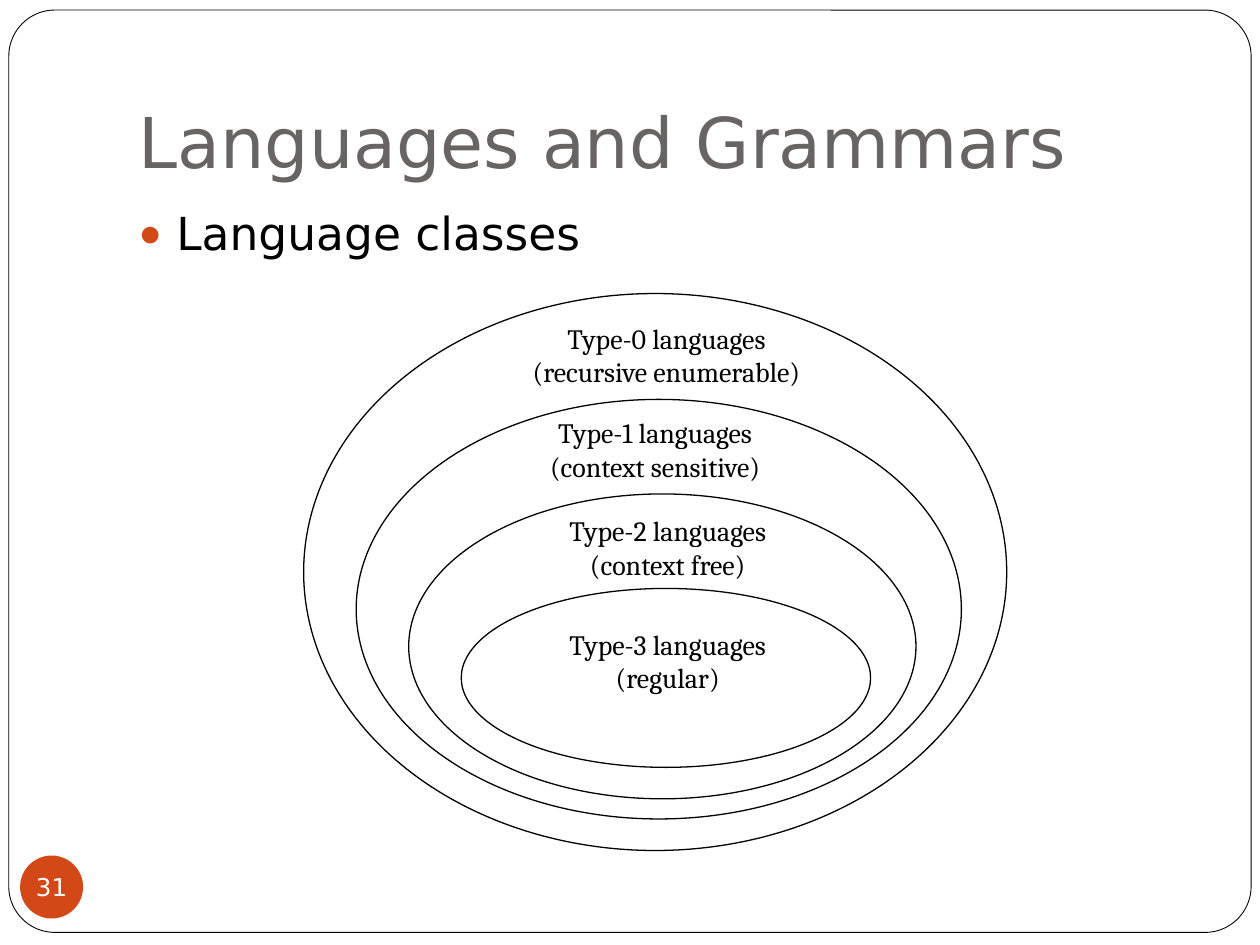
from lxml.etree import SubElement
from pptx import Presentation
from pptx.dml.color import RGBColor
from pptx.enum.shapes import MSO_SHAPE
from pptx.enum.text import MSO_ANCHOR, PP_ALIGN
from pptx.oxml.ns import qn
from pptx.util import Inches, Pt

BLACK = RGBColor(0, 0, 0)
WHITE = RGBColor(255, 255, 255)
GRAY = RGBColor(0x69, 0x64, 0x64)
RED = RGBColor(0xD3, 0x48, 0x17)
SANS, SERIF = "DejaVu Sans", "Cambria"

TITLE = "Languages and Grammars"
POINT = "Language classes"
PAGE = "31"
RINGS = [
    (2.33, 4.42, 5.29, 2.5, ["Type-0 languages", "(recursive enumerable)"]),
    (3.17, 3.33, 5.2, 3.25, ["Type-1 languages", "(context sensitive)"]),
    (3.92, 2.42, 5.3, 4.03, ["Type-2 languages", "(context free)"]),
    (4.67, 1.42, 5.3, 4.93, ["Type-3 languages", "(regular)"]),
]
LEFT, WIDE = 2.41, 5.58
STEP, LESS = 0.417, 0.777
LABEL = 3.08


def box(*lens):
    return [Inches(n) for n in lens]


def place(shape, *lens):
    shape.left, shape.top, shape.width, shape.height = box(*lens)


def write(shape, lines, size, font, color, align=PP_ALIGN.CENTER,
          anchor=MSO_ANCHOR.TOP, inset=(0.1, 0.05, 0.1, 0.05), wrap=True):
    frame = shape.text_frame
    frame.word_wrap = wrap
    frame.vertical_anchor = anchor
    (frame.margin_left, frame.margin_top,
     frame.margin_right, frame.margin_bottom) = box(*inset)
    for i, line in enumerate(lines):
        para = frame.add_paragraph() if i else frame.paragraphs[0]
        para.alignment = align
        run = para.add_run()
        run.text = line
        run.font.size = Pt(size)
        run.font.name = font
        run.font.color.rgb = color
    return frame


def draw(slide, kind, lens, fill=None, line=None):
    shape = slide.shapes.add_shape(kind, *box(*lens))
    shape.shadow.inherit = False
    if fill is None:
        shape.fill.background()
    else:
        shape.fill.solid()
        shape.fill.fore_color.rgb = fill
    if line is None:
        shape.line.fill.background()
    else:
        shape.line.color.rgb = BLACK
        shape.line.width = Pt(line)
    return shape


def bullet(para):
    para.space_before = Pt(5.8)
    props = para._p.get_or_add_pPr()
    props.set("marL", str(Inches(0.3)))
    props.set("indent", str(-Inches(0.3)))
    tint = SubElement(props, qn("a:buClr"))
    SubElement(tint, qn("a:srgbClr")).set("val", str(RED))
    SubElement(props, qn("a:buSzPct")).set("val", "85000")
    SubElement(props, qn("a:buChar")).set("char", "●")


def main():
    deck = Presentation()
    deck.slide_width, deck.slide_height = box(10, 7.5)
    slide = deck.slides.add_slide(deck.slide_layouts[1])

    edge = draw(slide, MSO_SHAPE.ROUNDED_RECTANGLE,
                (0.07, 0.08, 9.86, 7.32), WHITE, 0.5)
    edge.adjustments[0] = 0.05
    slide.shapes._spTree.insert(2, edge._element)

    title, body = slide.placeholders
    place(title, 1, 0.3, 8.5, 1.25)
    write(title, [TITLE], 40, SANS, GRAY, PP_ALIGN.LEFT,
          MSO_ANCHOR.BOTTOM, (0.1, 0.05, 0.1, 0.1))
    place(body, 1, 1.58, 8.5, 5)
    text = write(body, [POINT], 26, SANS, BLACK, PP_ALIGN.LEFT)
    bullet(text.paragraphs[0])

    for i, (top, high, *rest) in enumerate(RINGS):
        draw(slide, MSO_SHAPE.OVAL,
             (LEFT + i * STEP, top, WIDE - i * LESS, high), line=0.75)
    for *rest, mid, top, lines in RINGS:
        label = slide.shapes.add_textbox(
            *box(mid - LABEL / 2, top, LABEL, 0.64))
        write(label, lines, 16, SERIF, BLACK)

    badge = draw(slide, MSO_SHAPE.OVAL, (0.16, 6.79, 0.5, 0.5), RED)
    write(badge, [PAGE], 14, SANS, WHITE, anchor=MSO_ANCHOR.MIDDLE,
          inset=(0, 0, 0, 0), wrap=False)
    deck.save("out.pptx")


if __name__ == "__main__":
    main()
